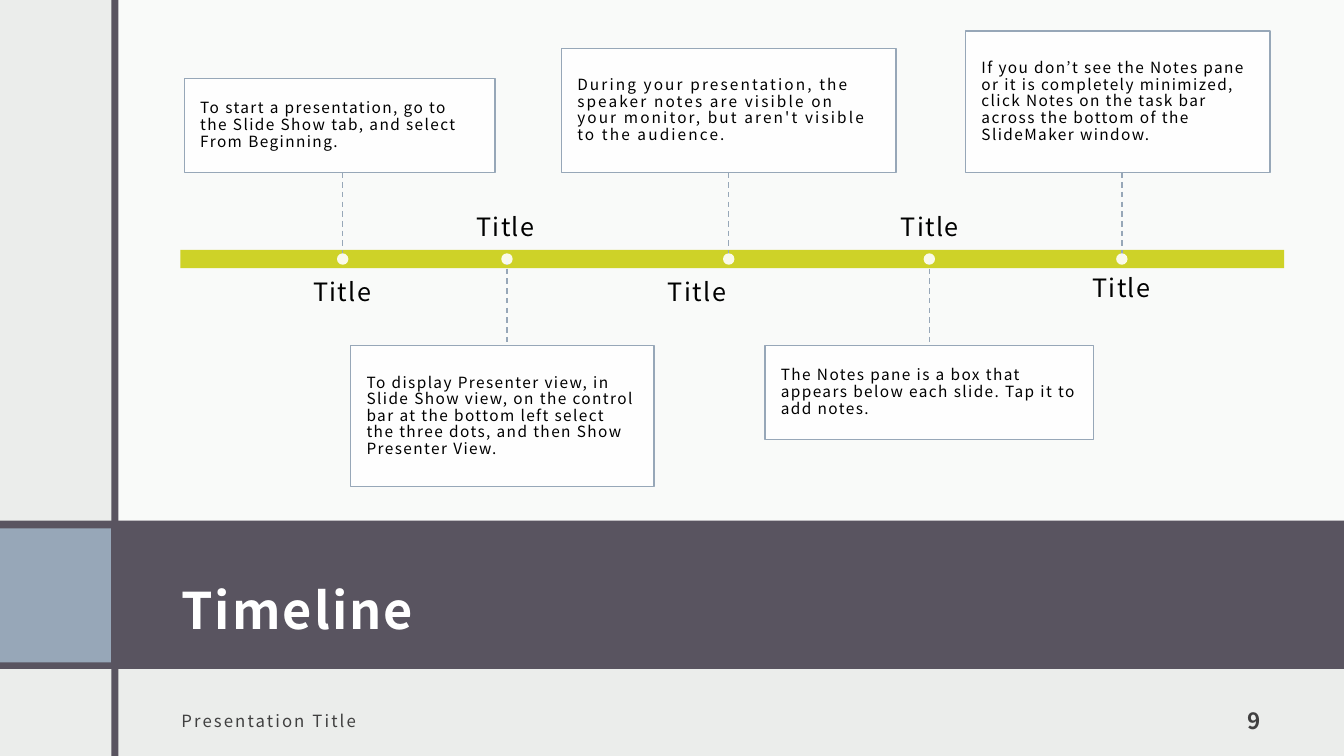
from dataclasses import dataclass

from lxml.etree import SubElement
from pptx import Presentation
from pptx.dml.color import RGBColor
from pptx.enum.dml import MSO_LINE
from pptx.enum.shapes import MSO_CONNECTOR, MSO_SHAPE
from pptx.enum.text import MSO_ANCHOR, PP_ALIGN
from pptx.oxml.ns import qn
from pptx.util import Emu, Pt


@dataclass
class Theme:
    font: str = "Noto Sans CJK JP"
    paper: str = "EBEDEB"
    white: str = "FFFFFF"
    plum: str = "595460"
    steel: str = "97A7B8"
    lime: str = "CED228"
    ink: str = "000000"
    gray: str = "404040"
    heading: int = 36
    label: int = 18
    number: int = 16
    footer: int = 12
    body: int = 11


theme = Theme()

# Slide on a grid of 160 columns by 90 rows
COLUMNS, ROWS = 160, 90
CELL = Emu(76200)
deck = Presentation()
deck.slide_width, deck.slide_height = COLUMNS * CELL, ROWS * CELL
slide = deck.slides.add_slide(deck.slide_layouts[6])
slide.background.fill.solid()
slide.background.fill.fore_color.rgb = RGBColor.from_string(theme.paper)


def add_block(left, top, width, height, color, opacity=100, outline=None,
              kind=MSO_SHAPE.RECTANGLE):
    block = slide.shapes.add_shape(
        kind, *(round(n * CELL) for n in (left, top, width, height)))
    block.shadow.inherit = False
    block.fill.solid()
    block.fill.fore_color.rgb = RGBColor.from_string(color)
    if opacity < 100:
        tint = block.fill._xPr.find(qn("a:solidFill"))[0]
        SubElement(tint, qn("a:alpha")).set("val", str(opacity * 1000))
    if outline:
        block.line.color.rgb = RGBColor.from_string(outline)
        block.line.width = Pt(1)
    else:
        block.line.fill.background()
    return block


def write(holder, text, size, color, anchor=MSO_ANCHOR.MIDDLE,
          align=PP_ALIGN.LEFT, bold=False, tracking=1.5, leading=1.0,
          inset=(1.44, 1.44)):
    frame = holder.text_frame
    frame.word_wrap = True
    frame.vertical_anchor = anchor
    side, edge = (round(n * CELL) for n in inset)
    frame.margin_left = frame.margin_right = side
    frame.margin_top = frame.margin_bottom = edge
    paragraph = frame.paragraphs[0]
    paragraph.text = text
    paragraph.alignment = align
    paragraph.line_spacing = leading
    paragraph.font.name = theme.font
    paragraph.font.size = Pt(size)
    paragraph.font.bold = bold
    paragraph.font.color.rgb = RGBColor.from_string(color)
    paragraph.font._rPr.set("spc", str(round(tracking * 100)))


# Backdrop: panel, band, accent square and upright bar
add_block(13.7, 0, COLUMNS - 13.7, 62, theme.white, opacity=75)
add_block(0, 62, COLUMNS, 17.65, theme.plum)
add_block(0, 62.9, 13.2, 15.95, theme.steel)
add_block(13.25, 0, 0.85, ROWS, theme.plum)

# Heading, footer and slide number
for text, place, style in (
    ("Timeline", (20.16, 63.96, 131.4, 13.56),
     dict(size=theme.heading, color=theme.white, bold=True, leading=1.5)),
    ("Presentation Title", (20.16, 82.8, 64.92, 6),
     dict(size=theme.footer, color=theme.gray)),
    ("9", (138.72, 82.8, 12.84, 6),
     dict(size=theme.number, color=theme.gray, bold=True,
          anchor=MSO_ANCHOR.BOTTOM, align=PP_ALIGN.RIGHT)),
):
    write(slide.shapes.add_textbox(*(round(n * CELL) for n in place)),
          text, **style)

# Timeline axis
AXIS, AXIS_HEIGHT = 30.84, 2.16
add_block(21.48, AXIS - AXIS_HEIGHT / 2, 131.4, AXIS_HEIGHT, theme.lime)

# Milestones alternate above and below the axis:
# dot column, card left, width, height, title centre, title leading,
# tracking, text
milestones = (
    (40.8, 21.96, 36.96, 11.16, 40.74, 1.0, 1,
     "To start a presentation, go to the Slide Show tab, "
     "and select From Beginning."),
    (60.36, 41.76, 36.12, 16.8, 60.18, 1.0, 1,
     "To display Presenter view, in Slide Show view, on the control bar at "
     "the bottom left select the three dots, and then Show Presenter View."),
    (86.76, 66.84, 39.84, 14.76, 82.98, 1.0, 1.5,
     "During your presentation, the speaker notes are visible on your "
     "monitor, but aren't visible to the audience."),
    (110.64, 91.08, 39.12, 11.16, 110.7, 0.9, 1,
     "The Notes pane is a box that appears below each slide. "
     "Tap it to add notes."),
    (133.56, 114.96, 36.24, 16.8, 133.5, 0.9, 1,
     "If you don’t see the Notes pane or it is completely minimized, click "
     "Notes on the task bar across the bottom of the SlideMaker window."),
)
REACH = 10.32  # from axis to card edge
TITLE_WIDTH, TITLE_HEIGHT = 34.92, 6.12
DOT = 1.36

for index, (dot_x, left, width, height, title_x, title_leading, tracking,
            text) in enumerate(milestones):
    above = index % 2 == 0

    # Card
    card_top = AXIS - REACH - height if above else AXIS + REACH
    card = add_block(left, card_top, width, height, theme.white, 90,
                     theme.steel)
    write(card, text, theme.body, theme.ink, tracking=tracking, leading=0.9,
          inset=(1.88, 0.8))

    # Dashed stem, joined where it meets the middle of the card's side
    start, end = (AXIS - REACH, AXIS) if above else (AXIS, AXIS + REACH)
    stem = slide.shapes.add_connector(
        MSO_CONNECTOR.STRAIGHT,
        *(round(n * CELL) for n in (dot_x, start, dot_x, end)))
    stem.line.color.rgb = RGBColor.from_string(theme.steel)
    stem.line.width = Pt(1)
    stem.line.dash_style = MSO_LINE.DASH
    SubElement(stem._element.spPr, qn("a:effectLst"))
    if abs(left + width / 2 - dot_x) < 0.01:
        if above:
            stem.begin_connect(card, 2)
        else:
            stem.end_connect(card, 0)

    # Title on the other side of the axis
    title_top = 32.88 if above else 22.68
    title = slide.shapes.add_textbox(*(round(n * CELL) for n in (
        title_x - TITLE_WIDTH / 2, title_top, TITLE_WIDTH, TITLE_HEIGHT)))
    write(title, "Title", theme.label, theme.ink,
          anchor=MSO_ANCHOR.TOP if above else MSO_ANCHOR.BOTTOM,
          align=PP_ALIGN.CENTER, tracking=1, leading=title_leading,
          inset=(0, 0))

    # Dot
    add_block(dot_x - DOT / 2, AXIS - DOT / 2, DOT, DOT, theme.white, 90,
              kind=MSO_SHAPE.OVAL)

deck.save("out.pptx")
